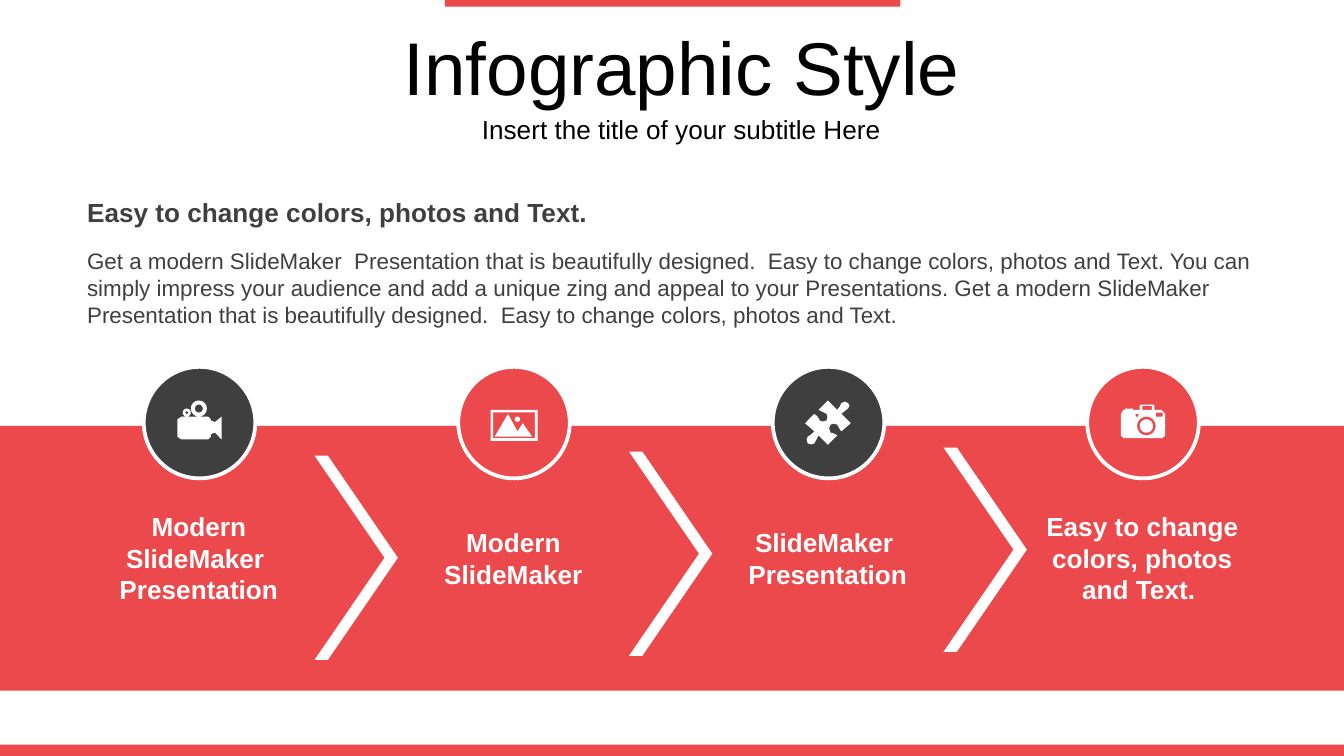
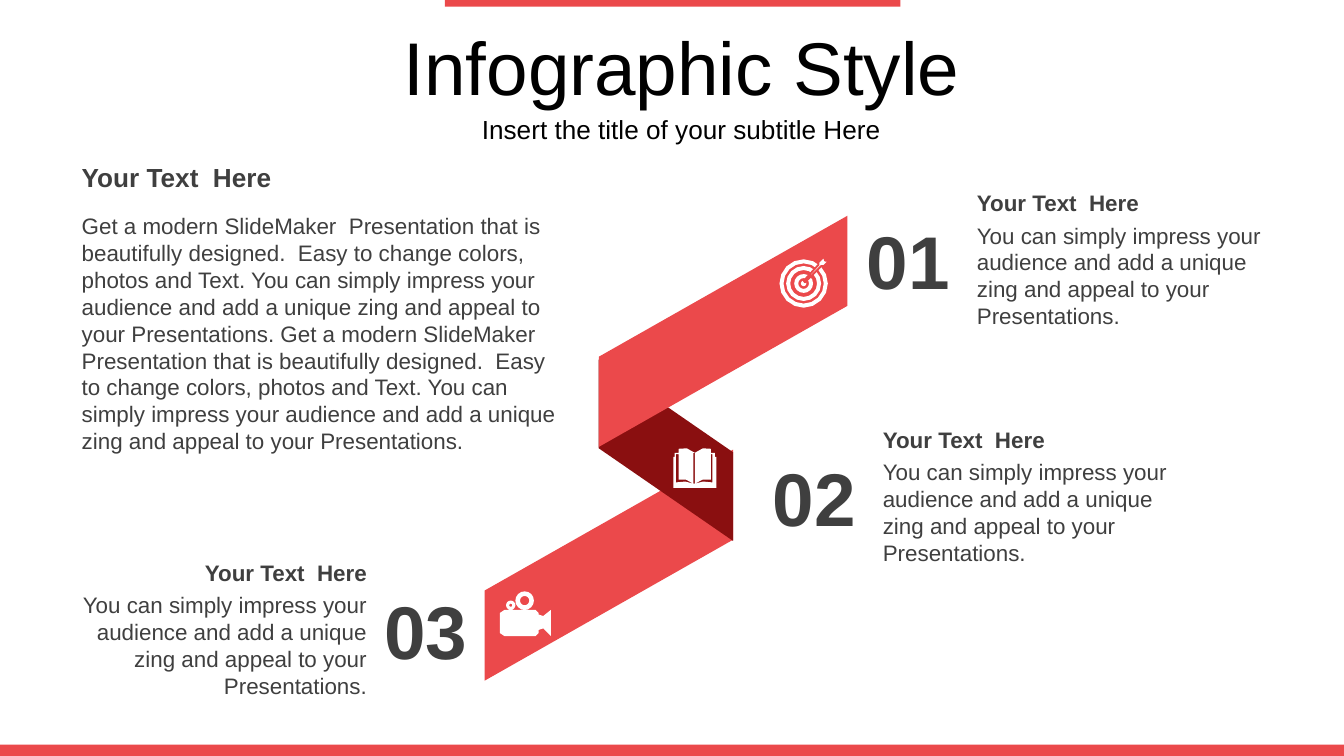
from pptx import Presentation
from pptx import util as u
from pptx.dml.color import RGBColor
from pptx.enum import shapes, text
import math

PX = u.Inches(0.01)
SLIDE_WIDTH = 1000
FONT = "Arial"
RED = RGBColor(0xEB, 0x49, 0x4B)
DARK_RED = RGBColor(0x8A, 0x0F, 0x10)
GRAY = RGBColor(0x3F, 0x3F, 0x3F)
WHITE = RGBColor(0xFF, 0xFF, 0xFF)
BLACK = RGBColor(0, 0, 0)
LEFT, CENTER, RIGHT = text.PP_ALIGN.LEFT, text.PP_ALIGN.CENTER, text.PP_ALIGN.RIGHT
PRESET = shapes.MSO_SHAPE
CIRCLE_CORNERS = 16
CURVE_STEPS = 2

# Shared by both slides; frames are left, top, width, height
TITLE = ("Infographic Style", (47, 19, 920, 60), 40)
SUBTITLE = ("Insert the title of your subtitle Here", (45, 80, 924, 32), 14)
BANDS = [(331, 0, 339, 5), (0, 554, 1000, 9)]

MODERN = "Get a modern SlideMaker  Presentation that is beautifully designed.  "
EASY = "Easy to change colors, photos and Text."
IMPRESS = "You can simply impress your audience and add a unique zing and appeal to your Presentations."
INTRO = f"{MODERN}{EASY} You can simply impress your audience and add a unique zing and appeal to your Presentations. {MODERN}{EASY}"
INTRO = f"{MODERN}{EASY} {IMPRESS} {MODERN}{EASY}"
HEADING = "Your Text  Here"


def box(left, top, right, bottom):
    return [(left, top), (right, top), (right, bottom), (left, bottom)]


# A contour is a circle (x, y, radius) or a list of corners and cubic curves.
# Contours inside one another alternate between filled and hollow.
MOVIE = [
    [(3, 12), (23, 12), (25, 14), (25, 15), (28, 16), (33, 12), (33, 29), (28, 24),
     (25, 25), (25, 27), (23, 29), (3, 29), (0, 27), (0, 14)],
    (16, 6, 6), (16, 6, 3), (7, 9, 3), (7, 9, 1),
]
PHOTO = [
    box(0, 0, 35, 23), box(2, 2, 33, 21),
    [(13, 3), (20, 16), (24, 10), (31, 20), (3, 20)], (20, 7, 2),
]
PUZZLE = [[
    (32, 2), (33, 3, 34, 5, 32, 6), (31, 8, 29, 7, 27, 10), (34, 17), (27, 23),
    (25, 22, 26, 20, 24, 18), (22, 17, 20, 17, 19, 18), (18, 19, 17, 22, 19, 24),
    (21, 25, 22, 24, 24, 26), (17, 33), (10, 26), (8, 29, 9, 29, 7, 32),
    (6, 33, 3, 33, 2, 32), (1, 30, 1, 28, 2, 27), (4, 25, 5, 26, 7, 23), (0, 17),
    (7, 10), (10, 11, 9, 13, 11, 15), (12, 16, 14, 16, 16, 15), (17, 14, 17, 11, 16, 10),
    (13, 8, 13, 9, 10, 7), (17, 0), (24, 7), (27, 5, 25, 4, 27, 2), (29, 0, 31, 1, 32, 2),
]]
CAMERA = [
    [(0, 7), (2, 4), (3, 4), (3, 3), (9, 3), (9, 4), (14, 4), (14, 1), (15, 0), (24, 0),
     (25, 1), (25, 4), (30, 4), (33, 7), (33, 23), (31, 25), (2, 25), (0, 23)],
    (19, 16, 7), (19, 16, 5),
    box(11, 7, 13, 9), box(26, 6, 31, 9), box(16, 1, 23, 4),
]
BOOK = [
    [(0, 7), (1, 7), (1, 4), (4, 4), (4, 1), (8, 0, 12, 0, 16, 4), (20, 0, 24, 0, 28, 1),
     (28, 4), (31, 4), (31, 7), (32, 7), (32, 30), (0, 30)],
    [(4, 5), (2, 5), (2, 26), (7, 24, 11, 26, 15, 27), (12, 24, 7, 23, 4, 24)],
    [(28, 5), (29, 5), (29, 26), (24, 24, 20, 26, 16, 27), (19, 24, 24, 23, 28, 24)],
    box(15, 4, 16, 27),
]
TARGET = [(19, 20, radius) for radius in (18, 15, 13, 10, 7, 4, 2)]
ARROW = [[(34, 0), (35, 3), (38, 3), (34, 7), (32, 7), (20, 19), (19, 18), (30, 6), (30, 4)]]

# Slide 1: caption, caption top and height, circle colour, icon, icon position
STEP = 234
STEPS = [
    ("Modern SlideMaker  Presentation", 375, 81, GRAY, MOVIE, (132, 298)),
    ("Modern SlideMaker", 387, 57, RED, PHOTO, (365, 305)),
    ("SlideMaker  Presentation", 387, 57, GRAY, PUZZLE, (599, 298)),
    (EASY + " ", 375, 81, RED, CAMERA, (834, 301)),
]

# Slide 2: ribbon frame, slant, colour, mirrored
RIBBONS = [
    ((367, 328, 172, 185), 0.61, RED, True),
    ((428, 285, 135, 100), 0.69, DARK_RED, False),
    ((452, 154, 172, 185), 0.61, RED, True),
]
# Number, number left, caption left, caption top, alignment
POINTS = [
    ("01", 635, 717, 136, LEFT),
    ("02", 565, 647, 312, LEFT),
    ("03", 276, 48, 411, RIGHT),
]
# Icon, position, scale
RIBBON_ICONS = [(BOOK, (501, 333), 1), (TARGET, (579, 191), 1), (MOVIE, (372, 440), 1.15)]


def emu(frame):
    return [round(length * PX) for length in frame]


def write(shape, wording, size, color, bold=False, align=LEFT):
    text_frame = shape.text_frame
    text_frame.text = wording
    text_frame.word_wrap = True
    text_frame.auto_size = text.MSO_AUTO_SIZE.NONE
    paragraph = text_frame.paragraphs[0]
    paragraph.alignment = align
    paragraph.space_before = u.Pt(0)
    font = paragraph.runs[0].font
    font.name, font.size, font.bold = FONT, u.Pt(size), bold
    font.color.rgb = color


def add_label(slide, wording, frame, size=12, color=GRAY, bold=False, align=LEFT):
    write(slide.shapes.add_textbox(*emu(frame)), wording, size, color, bold, align)


def paint(shape, color, line=None, line_width=1):
    shape.shadow.inherit = False
    shape.fill.solid()
    shape.fill.fore_color.rgb = color
    if line is None:
        shape.line.fill.background()
    else:
        shape.line.color.rgb = line
        shape.line.width = u.Pt(line_width)


def add_preset(slide, preset, frame, color, line=None, line_width=1):
    shape = slide.shapes.add_shape(preset, *emu(frame))
    paint(shape, color, line, line_width)
    return shape


def outline(contour):
    """Turn a contour into the corners of a polygon."""
    if isinstance(contour, tuple):
        x, y, radius = contour
        angles = [math.tau * i / CIRCLE_CORNERS for i in range(CIRCLE_CORNERS)]
        return [(x + radius * math.cos(a), y + radius * math.sin(a)) for a in angles]
    points = []
    for part in contour:
        if len(part) == 2:
            points.append(part)
            continue
        knots = [points[-1], part[:2], part[2:4], part[4:]]
        for t in (i / CURVE_STEPS for i in range(1, CURVE_STEPS + 1)):
            weights = [math.comb(3, k) * t ** k * (1 - t) ** (3 - k) for k in range(4)]
            points.append(tuple(sum(w * knot[axis] for w, knot in zip(weights, knots))
                                for axis in (0, 1)))
    return points


def add_icon(slide, icon, position, scale=1, line=None):
    left, top = position
    builder = None
    for contour in icon:
        points = [emu((left + x * scale, top + y * scale)) for x, y in outline(contour)]
        if builder is None:
            builder = slide.shapes.build_freeform(*points[0])
        else:
            builder.move_to(*points[0])
        builder.add_line_segments(points[1:], close=True)
    paint(builder.convert_to_shape(), WHITE, line)


def add_header(slide):
    for holder, (wording, frame, size) in zip(slide.placeholders, (TITLE, SUBTITLE)):
        holder.left, holder.top, holder.width, holder.height = emu(frame)
        write(holder, wording, size, BLACK, align=CENTER)
        text_frame = holder.text_frame
        text_frame.vertical_anchor = text.MSO_ANCHOR.MIDDLE
        text_frame.margin_left = text_frame.margin_right = 10 * PX
        text_frame.margin_top = text_frame.margin_bottom = 10 * PX


def add_bands(slide, layout):
    """Draw the bands once and hand them to the layout."""
    for frame in BANDS:
        layout.shapes.element.append(add_preset(slide, PRESET.RECTANGLE, frame, RED).element)


def build_steps(slide):
    add_preset(slide, PRESET.RECTANGLE, (0, 317, SLIDE_WIDTH, 197), RED)
    add_label(slide, EASY, (55, 141, 890, 34), 14, bold=True)
    add_label(slide, INTRO, (55, 179, 890, 71))
    for i, (caption, top, height, color, icon, position) in enumerate(STEPS):
        shift = i * STEP
        add_preset(slide, PRESET.OVAL, (107 + shift, 273, 83, 83), color, WHITE, 2)
        add_icon(slide, icon, position)
        add_label(slide, caption, (63 + shift, top, 170, height), 14, WHITE, True, CENTER)
        if i < len(STEPS) - 1:
            frame = (234 + shift, 339 - 3 * i, 62, 152)
            add_preset(slide, PRESET.CHEVRON, frame, WHITE).adjustments[0] = 0.84


def build_ribbon(slide):
    for frame, slant, color, mirrored in RIBBONS:
        ribbon = add_preset(slide, PRESET.PARALLELOGRAM, frame, color)
        ribbon.adjustments[0] = slant
        ribbon.rotation = 270
        if mirrored:
            ribbon.element.spPr.xfrm.set("flipH", "1")
    for number, number_left, left, top, align in POINTS:
        add_label(slide, number, (number_left, top + 19, 83, 77), 40, bold=True)
        add_label(slide, HEADING, (left, top, 235, 30), bold=True, align=align)
        add_label(slide, IMPRESS, (left, top + 24, 235, 91), align=align)
    add_label(slide, HEADING, (51, 115, 383, 34), 14, bold=True)
    add_label(slide, f"{INTRO} {IMPRESS}", (51, 153, 383, 192))
    for icon, position, scale in RIBBON_ICONS:
        add_icon(slide, icon, position, scale)
    add_icon(slide, ARROW, (579, 191), line=RED)


def main():
    presentation = Presentation()
    presentation.slide_width = SLIDE_WIDTH * PX
    presentation.slide_height = presentation.slide_width * 9 // 16
    layout = presentation.slide_layouts[0]
    for build in (build_steps, build_ribbon):
        slide = presentation.slides.add_slide(layout)
        add_header(slide)
        build(slide)
    add_bands(slide, layout)
    presentation.save("out.pptx")


if __name__ == "__main__":
    main()
